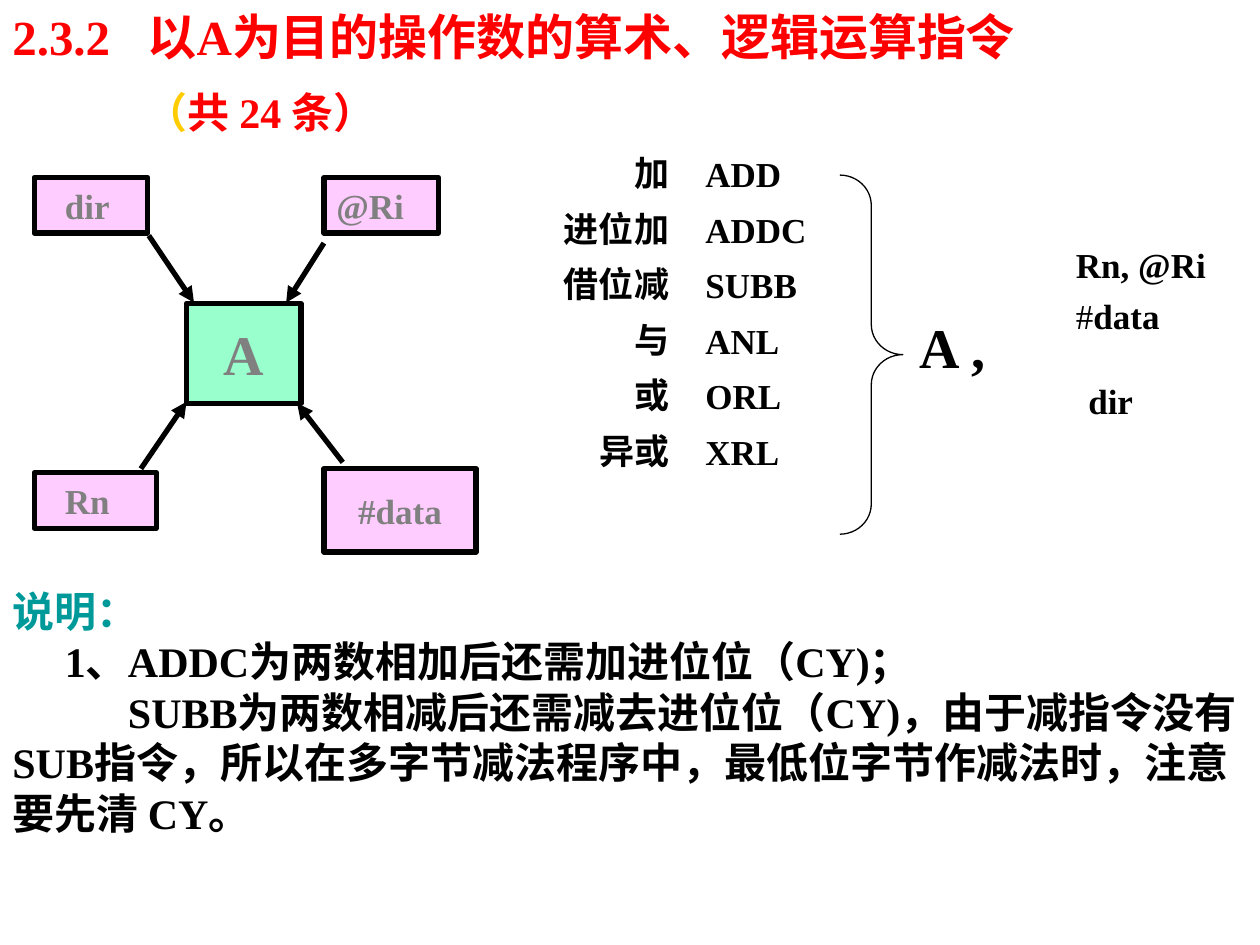
from lxml.etree import SubElement
from pptx import Presentation
from pptx.dml.color import RGBColor
from pptx.enum.shapes import MSO_CONNECTOR, MSO_SHAPE as SHAPE
from pptx.enum.text import MSO_ANCHOR as ANCHOR, PP_ALIGN as ALIGN
from pptx.oxml.ns import qn
from pptx.util import Cm, Pt

BLACK = RGBColor(0x00, 0x00, 0x00)
GRAY = RGBColor(0x80, 0x80, 0x80)
RED = RGBColor(0xFF, 0x00, 0x00)
YELLOW = RGBColor(0xFF, 0xCC, 0x00)
TEAL = RGBColor(0x00, 0x99, 0x99)
PINK = RGBColor(0xFF, 0xCC, 0xFF)
MINT = RGBColor(0x99, 0xFF, 0xCC)

prs = Presentation()
prs.slide_width, prs.slide_height = Cm(25.4), Cm(19.05)
slide = prs.slides.add_slide(prs.slide_layouts[6])
shapes = slide.shapes


def set_font(paragraph, size, color):
    font = paragraph.font
    font.name, font.size, font.bold = "Times New Roman", Pt(size), True
    font.color.rgb = color


def add_text(left, top, width, height, lines, size, color=BLACK):
    frame = shapes.add_textbox(Cm(left), Cm(top), Cm(width), Cm(height)).text_frame
    frame.word_wrap = True
    frame.text = "\n".join(lines)
    for paragraph in frame.paragraphs:
        set_font(paragraph, size, color)
    return frame.paragraphs


# Arrows from the operands to the accumulator
for x1, y1, x2, y2 in [(3, 4.75, 3.91, 6.1), (2.84, 9.45, 3.76, 8.1),
                       (6.53, 4.9, 5.77, 6.1), (6.91, 9.32, 5.99, 8.13)]:
    arrow = shapes.add_connector(MSO_CONNECTOR.STRAIGHT, Cm(x1), Cm(y1), Cm(x2), Cm(y2))
    arrow.line.color.rgb = BLACK
    arrow.line.width = Pt(3)
    SubElement(arrow.line._get_or_add_ln(), qn("a:tailEnd"), type="triangle")
    SubElement(arrow._element.spPr, qn("a:effectLst"))

# Operand boxes and the accumulator: label, place, text indent, alignment, size, fill
for label, left, top, width, height, indent, align, size, fill in [
    ("dir", 0.69, 3.58, 2.29, 1.12, 0.37, ALIGN.LEFT, 20, PINK),
    ("@Ri", 6.53, 3.58, 2.31, 1.12, 0, ALIGN.LEFT, 20, PINK),
    ("Rn", 0.69, 9.53, 2.46, 1.12, 0.37, ALIGN.LEFT, 20, PINK),
    ("#data", 6.53, 9.45, 3.07, 1.68, 0, ALIGN.CENTER, 20, PINK),
    ("A", 3.76, 6.12, 2.31, 2.01, 0, ALIGN.CENTER, 32, MINT),
]:
    operand = shapes.add_shape(SHAPE.RECTANGLE, Cm(left), Cm(top), Cm(width), Cm(height))
    operand.shadow.inherit = False
    operand.fill.solid()
    operand.fill.fore_color.rgb = fill
    operand.line.color.rgb = BLACK
    operand.line.width = Pt(3)
    frame = operand.text_frame
    frame.vertical_anchor = ANCHOR.MIDDLE
    frame.margin_left = Cm(0.25 + indent)
    frame.text = label
    frame.paragraphs[0].alignment = align
    set_font(frame.paragraphs[0], size, GRAY)

# Operation names and their mnemonics
operations = ["加", "进位加", "借位减", "与", "或", "异或"]
mnemonics = ["ADD", "ADDC", "SUBB", "ANL", "ORL", "XRL"]
for left, top, width, lines, align in [(13.97, 3.12, 3.61, mnemonics, ALIGN.LEFT),
                                       (9.73, 3.1, 4.01, operations, ALIGN.RIGHT)]:
    for row, paragraph in enumerate(add_text(left, top, width, 6.53, lines, 20)):
        paragraph.alignment = align
        paragraph.line_spacing = 0.8
        paragraph.space_before = Pt(12.5 if row else 0)

# Brace, destination and source operands
brace = shapes.add_shape(SHAPE.RIGHT_BRACE, Cm(16.93), Cm(3.53), Cm(1.27), Cm(7.24))
brace.shadow.inherit = False
brace.adjustments[0] = 0.48
brace.fill.background()
brace.line.color.rgb = BLACK
brace.line.width = Pt(0.75)

add_text(18.29, 6.17, 2.11, 1.63, ["A ,"], 32)

registers, immediate, direct = add_text(20.75, 4.78, 4.01, 6.35,
                                        ["Rn, @Ri", "", "dir"], 20)
for piece, bold in [("#", False), ("data", True)]:
    run = immediate.add_run()
    run.text, run.font.bold = piece, bold
for paragraph, indent, before in [(registers, 0.69, 0), (immediate, 0.69, 5),
                                  (direct, 0.94, 25)]:
    paragraph._p.get_or_add_pPr().set("marL", str(Cm(indent)))
    paragraph.space_before = Pt(before)

# Title, with a tab stop after the section number
title, = add_text(0, 0, 24.51, 1.45, ["2.3.2\t以A为目的操作数的算术、逻辑运算指令"], 28, RED)
title_properties = title._p.get_or_add_pPr()
tabs = title_properties.makeelement(qn("a:tabLst"), {})
title_properties.insert(0, tabs)
SubElement(tabs, qn("a:tab"), pos=str(Cm(2.73)), algn="l")

# Instruction count
count, = add_text(2.69, 1.32, 5.59, 2.9, [""], 24, RED)
count.line_spacing = 1.3
for piece, color in [("（", YELLOW), ("共 24 条）", RED)]:
    run = count.add_run()
    run.text, run.font.color.rgb = piece, color

# Explanation
notes = add_text(0, 11.68, 25.4, 6.35, [
    "说明：",
    "1、ADDC为两数相加后还需加进位位（CY)；",
    "SUBB为两数相减后还需减去进位位（CY)，由于减指令没有SUB指令，"
    "所以在多字节减法程序中，最低位字节作减法时，注意要先清 CY。",
], 24)
notes[0].font.color.rgb = TEAL
for paragraph, indent in zip(notes[1:], (1.06, 2.33)):
    paragraph._p.get_or_add_pPr().set("indent", str(Cm(indent)))

prs.save("out.pptx")
